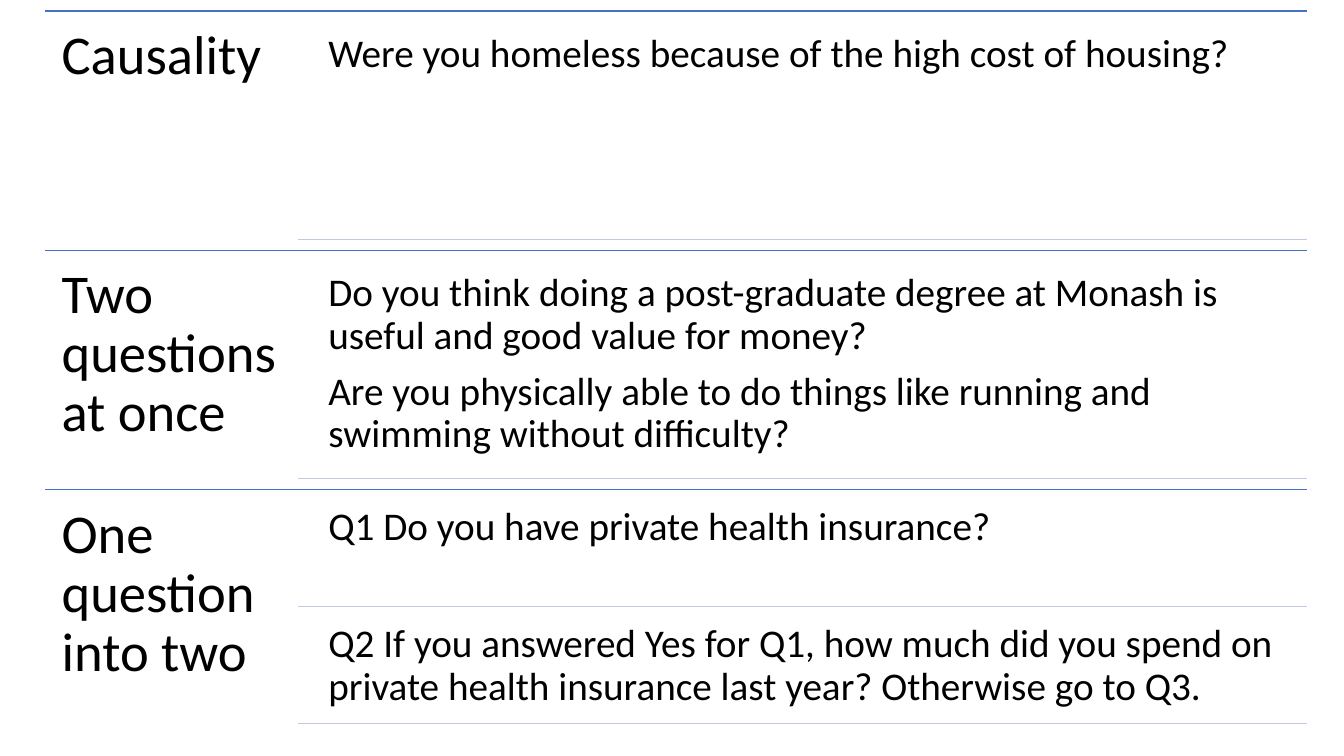
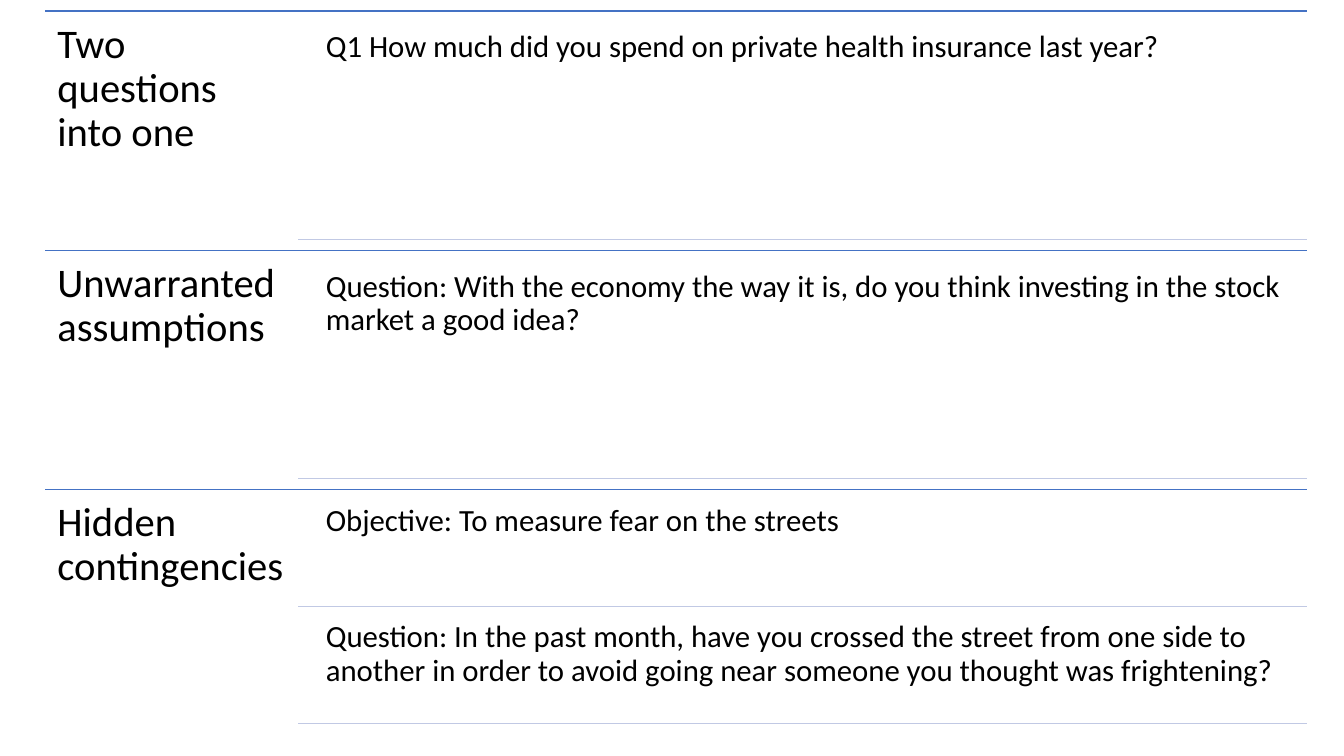
"""Build two slides of survey question pitfalls, each in three ruled bands."""
from lxml import etree
from pptx import Presentation
from pptx.dml.color import RGBColor
from pptx.enum import shapes, text
from pptx.oxml.ns import qn
from pptx.util import Cm, Pt

SLIDES = [
    {"label": 39, "answer": 28, "bands": [
        ("Causality", [
            ["Were you homeless because of the high cost of housing?"]]),
        ("Two questions at once", [
            ["Do you think doing a post-graduate degree at Monash is useful "
             "and good value for money?",
             "Are you physically able to do things like running and swimming "
             "without difficulty?"]]),
        ("One question into two", [
            ["Q1 Do you have private health insurance?"],
            ["Q2 If you answered Yes for Q1, how much did you spend on private "
             "health insurance last year? Otherwise go to Q3."]]),
    ]},
    {"label": 29, "answer": 22, "bands": [
        ("Two questions into one", [
            ["Q1 How much did you spend on private health insurance last year?"]]),
        ("Unwarranted assumptions", [
            ["Question: With the economy the way it is, do you think investing "
             "in the stock market a good idea?"]]),
        ("Hidden contingencies", [
            ["Objective: To measure fear on the streets"],
            ["Question: In the past month, have you crossed the street from one "
             "side to another in order to avoid going near someone you thought "
             "was frightening?"]]),
    ]},
]

BLUE = RGBColor(0x44, 0x72, 0xC4)
PALE = RGBColor(0xC1, 0xC9, 0xE4)
BLACK = RGBColor(0, 0, 0)
FONT = "Calibri"

LEFT, RIGHT, TOP = 1.14, 32.94, 0.28
BAND = 6.03
LABEL_W = 6.35
RULE_X, TEXT_X = 7.52, 7.98
GAP = 0.05


def add_rule(slide, x, y, color):
    rule = slide.shapes.add_connector(
        shapes.MSO_CONNECTOR.STRAIGHT, Cm(x), Cm(y), Cm(RIGHT), Cm(y))
    rule.line.color.rgb = color
    rule.line.width = Pt(1)
    etree.SubElement(rule._element.spPr, qn("a:effectLst"))


def add_text(slide, x, y, width, height, lines, size):
    box = slide.shapes.add_textbox(Cm(x), Cm(y), Cm(width), Cm(height))
    frame = box.text_frame
    frame.word_wrap = True
    frame.vertical_anchor = text.MSO_ANCHOR.TOP
    inset = Pt(0.3 * size)
    frame.margin_left = frame.margin_right = inset
    frame.margin_top = frame.margin_bottom = inset
    frame.text = "\n".join(lines)
    for para in frame.paragraphs:
        para.line_spacing = 0.9
        para.space_after = Pt(0.35 * size)
        para.font.name = FONT
        para.font.size = Pt(size)
        para.font.color.rgb = BLACK


def add_band(slide, y, label, answers, sizes):
    add_rule(slide, LEFT, y, BLUE)
    add_text(slide, LEFT, y, LABEL_W, BAND, [label], sizes["label"])
    count = len(answers)
    height = BAND / (count + GAP * (count + 1))
    for lines in answers:
        y += GAP * height
        add_text(slide, TEXT_X, y, RIGHT - TEXT_X, height, lines, sizes["answer"])
        y += height
        add_rule(slide, RULE_X, y, PALE)


def main():
    deck = Presentation()
    deck.slide_width, deck.slide_height = Cm(33.87), Cm(19.05)
    for page in SLIDES:
        slide = deck.slides.add_slide(deck.slide_layouts[6])
        for row, (label, answers) in enumerate(page["bands"]):
            add_band(slide, TOP + row * BAND, label, answers, page)
    deck.save("out.pptx")


if __name__ == "__main__":
    main()
